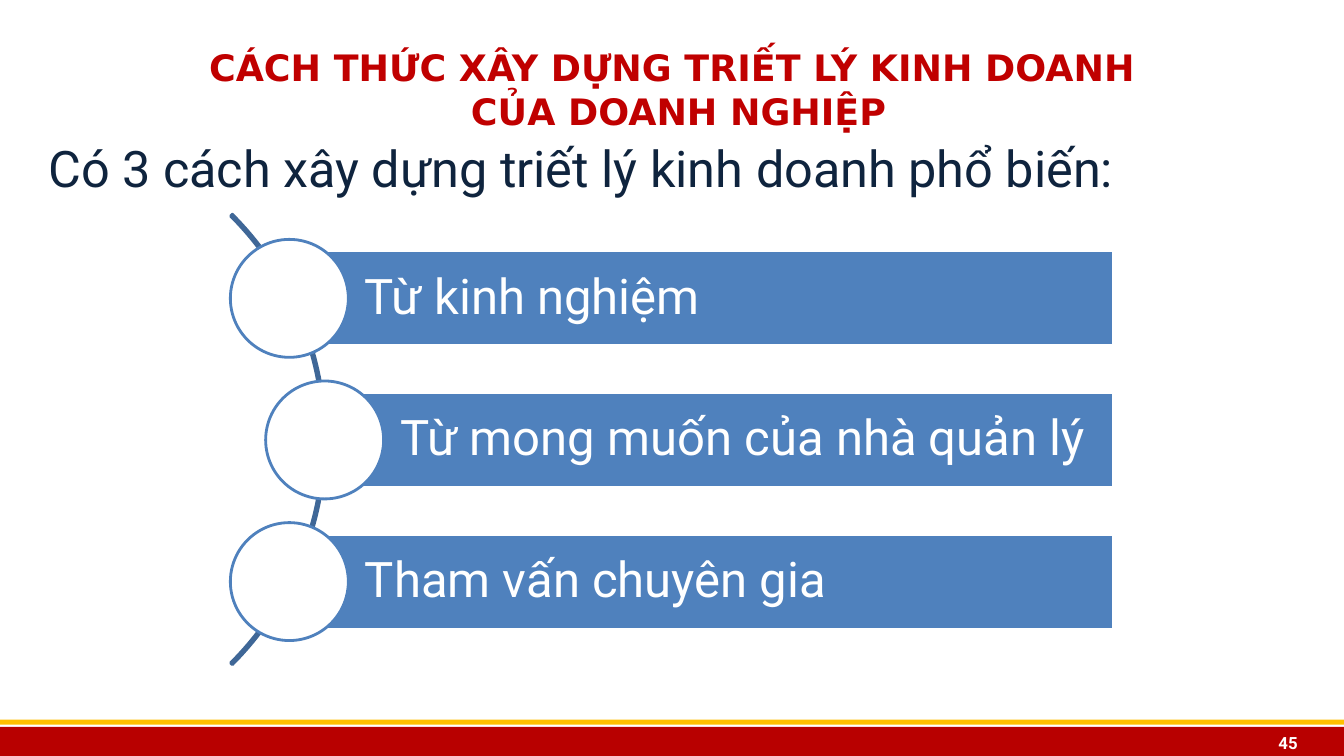
from lxml import etree
from pptx import Presentation
from pptx.dml.color import RGBColor
from pptx.enum.shapes import MSO_SHAPE
from pptx.enum.text import MSO_ANCHOR, MSO_AUTO_SIZE, PP_ALIGN
from pptx.util import Inches, Pt

RECTANGLE, ELLIPSE, ARC = MSO_SHAPE.RECTANGLE, MSO_SHAPE.OVAL, MSO_SHAPE.BLOCK_ARC
MIDDLE, NO_AUTOFIT = MSO_ANCHOR.MIDDLE, MSO_AUTO_SIZE.NONE
LEFT, CENTER, RIGHT = PP_ALIGN.LEFT, PP_ALIGN.CENTER, PP_ALIGN.RIGHT

COLORS = {
    "footer": "B80000", "stripe": "FFC000", "title": "C00000", "body": "0F243E",
    "bar": "4F81BD", "arc": "3F6797", "white": "FFFFFF",
}
WIDTH, HEIGHT = 13.33, 7.5


def add_figure(kind, left, top, width, height, fill=None, line=None):
    figure = slide.shapes.add_shape(
        kind, Inches(left), Inches(top), Inches(width), Inches(height))
    figure.shadow.inherit = False
    if fill:
        figure.fill.solid()
        figure.fill.fore_color.rgb = RGBColor.from_string(COLORS[fill])
    else:
        figure.fill.background()
    if line:
        figure.line.color.rgb = RGBColor.from_string(COLORS[line])
        figure.line.width = Pt(2)
    else:
        figure.line.fill.background()
    return figure


def write(holder, text, size, color, align, font="Roboto", bold=False):
    frame = holder.text_frame
    frame.text = text
    frame.word_wrap = True
    frame.auto_size = NO_AUTOFIT
    paragraph = frame.paragraphs[0]
    paragraph.alignment = align
    for run in paragraph.runs:
        run.font.size = Pt(size)
        run.font.name = font
        run.font.bold = bold
        run.font.color.rgb = RGBColor.from_string(COLORS[color])
    return frame


prs = Presentation()
prs.slide_width, prs.slide_height = Inches(WIDTH), Inches(HEIGHT)
slide = prs.slides.add_slide(prs.slide_layouts[1])

# Footer band and page number
footer_top, footer_height = 7.21, 0.31
add_figure(RECTANGLE, 0, footer_top, WIDTH, footer_height, "footer")
add_figure(RECTANGLE, 0, 7.14, WIDTH, 0.05, "stripe")
page_number = slide.shapes.add_textbox(
    Inches(12.1), Inches(footer_top), Inches(0.87), Inches(footer_height))
page_frame = write(page_number, "45", 12, "white", RIGHT, bold=True)
page_frame.margin_top = page_frame.margin_bottom = 0
page_frame.vertical_anchor = MIDDLE

# Title and introduction
title, intro = slide.placeholders
title.left, title.top, title.width, title.height = map(Inches, (0.37, 0.29, 12.6, 1.18))
title_frame = write(
    title, "CÁCH THỨC XÂY DỰNG TRIẾT LÝ KINH DOANH\v CỦA DOANH NGHIỆP",
    26, "title", CENTER, "DejaVu Sans", True)
title_frame.vertical_anchor = MIDDLE

intro.left, intro.top, intro.width, intro.height = map(Inches, (0.38, 1.31, 12.6, 5.59))
intro_frame = write(
    intro, "Có 3 cách xây dựng triết lý kinh doanh phổ biến:", 36, "body", LEFT)
intro_paragraph = intro_frame.paragraphs[0]
intro_paragraph.space_before = Pt(6)
intro_format = intro_paragraph._p.get_or_add_pPr()
intro_format.set("marL", "0")
intro_format.set("indent", "0")
etree.SubElement(
    intro_format, "{http://schemas.openxmlformats.org/drawingml/2006/main}buNone")

# Three approaches strung along an arc
arc = add_figure(ARC, -3.09, 1.2, 6.32, 6.32, line="arc")
arc.adjustments[0], arc.adjustments[1], arc.adjustments[2] = 189, 27, 0.004

approaches = [
    ("Từ kinh nghiệm", 2.87),
    ("Từ mong muốn của nhà quản lý", 3.22),
    ("Tham vấn chuyên gia", 2.87),
]
first_center, pitch = 2.96, 1.405
bar_right, bar_height, circle_size = 11.04, 0.94, 1.17
for row, (approach, center_x) in enumerate(approaches):
    center_y = first_center + row * pitch
    bar = add_figure(RECTANGLE, center_x, center_y - bar_height / 2,
                     bar_right - center_x, bar_height, "bar", "white")
    bar_frame = write(bar, approach, 35, "white", LEFT)
    bar_frame.vertical_anchor = MIDDLE
    bar_frame.margin_left = Inches(0.75)
    bar_frame.margin_right = bar_frame.margin_top = bar_frame.margin_bottom = Inches(0.1)
    bar_frame.paragraphs[0].line_spacing = 0.9
    add_figure(ELLIPSE, center_x - circle_size / 2, center_y - circle_size / 2,
               circle_size, circle_size, "white", "bar")

prs.save("out.pptx")
